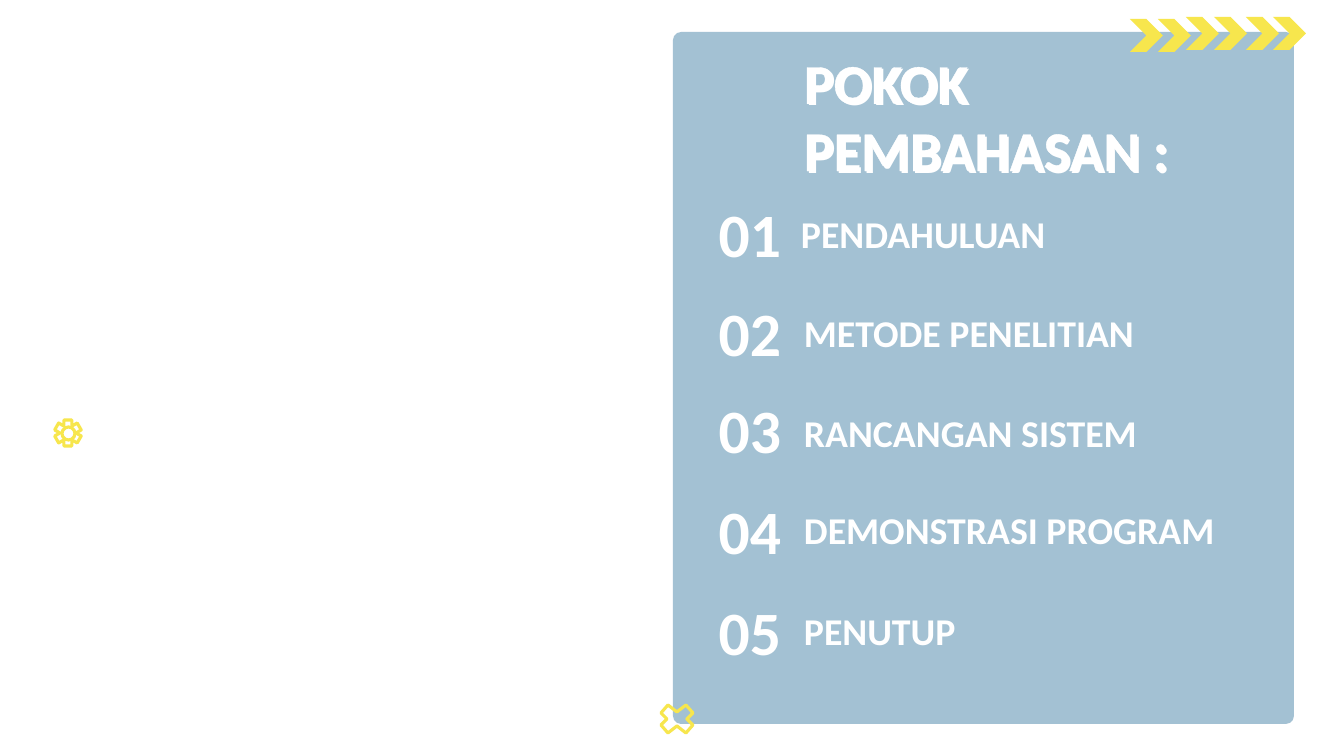
from math import cos, radians, sin
from lxml.etree import SubElement
from pptx import Presentation
from pptx.dml.color import RGBColor
from pptx.enum.shapes import MSO_SHAPE
from pptx.enum.text import MSO_ANCHOR, MSO_AUTO_SIZE, PP_ALIGN
from pptx.oxml import parse_xml
from pptx.oxml.ns import nsdecls, qn
from pptx.util import Emu, Pt

HUES = {"panel": "196491", "mark": "F7E64D", "text": "FFFFFF"}
WIDE, HIGH = 1344, 756


def px(n):
    return Emu(round(n * 12192000 / WIDE))


def write(box, text, rect, size, inset=10, align=PP_ALIGN.LEFT, anchor=MSO_ANCHOR.TOP):
    box.left, box.top, box.width, box.height = map(px, rect)
    frame = box.text_frame
    frame.text = text
    frame.word_wrap = True
    frame.auto_size = MSO_AUTO_SIZE.SHAPE_TO_FIT_TEXT
    frame.vertical_anchor = anchor
    frame.margin_left = frame.margin_right = px(inset)
    frame.margin_top = frame.margin_bottom = px(5)
    para = frame.paragraphs[0]
    para.alignment = align
    para.font.name = "Calibri"
    para.font.size = Pt(size)
    para.font.bold = True
    para.font.color.rgb = RGBColor.from_string(HUES["text"])
    return para


deck = Presentation()
deck.slide_width, deck.slide_height = px(WIDE), px(HIGH)
slide = deck.slides.add_slide(deck.slide_layouts[5])
shapes = slide.shapes

panel = shapes.add_shape(MSO_SHAPE.ROUNDED_RECTANGLE, *map(px, (673, 32, 621, 692)))
panel.adjustments[0] = 0.013
panel.shadow.inherit = False
panel.line.fill.background()
panel.fill.solid()
panel.fill.fore_color.rgb = RGBColor.from_string(HUES["panel"])
tint = panel.element.spPr.find(qn("a:solidFill"))[0]
SubElement(tint, qn("a:alpha"), val="40000")

topics = [
    ("PENDAHULUAN", 789, 206, 191),
    ("METODE PENELITIAN", 792, 305, 290),
    ("RANCANGAN SISTEM", 792, 405, 387),
    ("DEMONSTRASI PROGRAM", 792, 502, 488),
    ("PENUTUP", 792, 603, 589),
]
for rank, (topic, left, top, peak) in enumerate(topics, 1):
    write(shapes.add_textbox(0, 0, 0, 0), topic, (left, top, 514, 56), 27, 12)
    write(shapes.add_textbox(0, 0, 0, 0), f"{rank:02}", (696, peak, 108, 86), 44, 12, PP_ALIGN.CENTER)

for left, top in [(1130, 19), (1158, 19), (1186, 17), (1214, 17), (1246, 17), (1273, 17)]:
    arrow = shapes.add_shape(MSO_SHAPE.CHEVRON, *map(px, (left, top, 33, 33)))
    arrow.adjustments[0] = 0.5
    arrow.shadow.inherit = False
    arrow.line.fill.background()
    arrow.fill.solid()
    arrow.fill.fore_color.rgb = RGBColor.from_string(HUES["mark"])

cross = [(-9, -14), (0, -7), (9, -14), (16, -6), (10, 0), (16, 6),
         (9, 14), (0, 7), (-9, 14), (-16, 6), (-10, 0), (-16, -6)]
tooth = [(-4, -7), (-4, -13), (4, -13), (4, -7)]
gear = []
for turn in range(0, 360, 60):
    c, s = cos(radians(turn)), sin(radians(turn))
    gear += [(x * c - y * s, x * s + y * c) for x, y in tooth]

marks = [shapes.add_shape(MSO_SHAPE.OVAL, *map(px, (62, 427, 13, 13)))]
for (left, top), dots in [((677, 719), cross), ((68, 433), gear)]:
    spots = [(px(left + x), px(top + y)) for x, y in dots]
    form = shapes.build_freeform(*spots[0])
    form.add_line_segments(spots[1:], close=True)
    marks.append(form.convert_to_shape())
for mark in marks:
    mark.shadow.inherit = False
    mark.fill.background()
    mark.line.width = Pt(2.25)
    mark.line.color.rgb = RGBColor.from_string(HUES["mark"])
    SubElement(mark.line._get_or_add_ln(), qn("a:round"))

words = "POKOK PEMBAHASAN :"
back = write(shapes.add_textbox(0, 0, 0, 0), words, (794, 42, 550, 146), 40, anchor=MSO_ANCHOR.MIDDLE)
edge = parse_xml(
    f'<a:ln {nsdecls("a")} w="9525"><a:solidFill><a:srgbClr val="{HUES["text"]}"/></a:solidFill></a:ln>'
)
props = back.runs[0].font
props.fill.solid()
props.fill.fore_color.rgb = RGBColor.from_string(HUES["text"])
props._element.insert(0, edge)

write(shapes.title, words, (796, 44, 550, 146), 40, anchor=MSO_ANCHOR.MIDDLE)
shapes.element.append(shapes.title.element)

deck.save("out.pptx")
